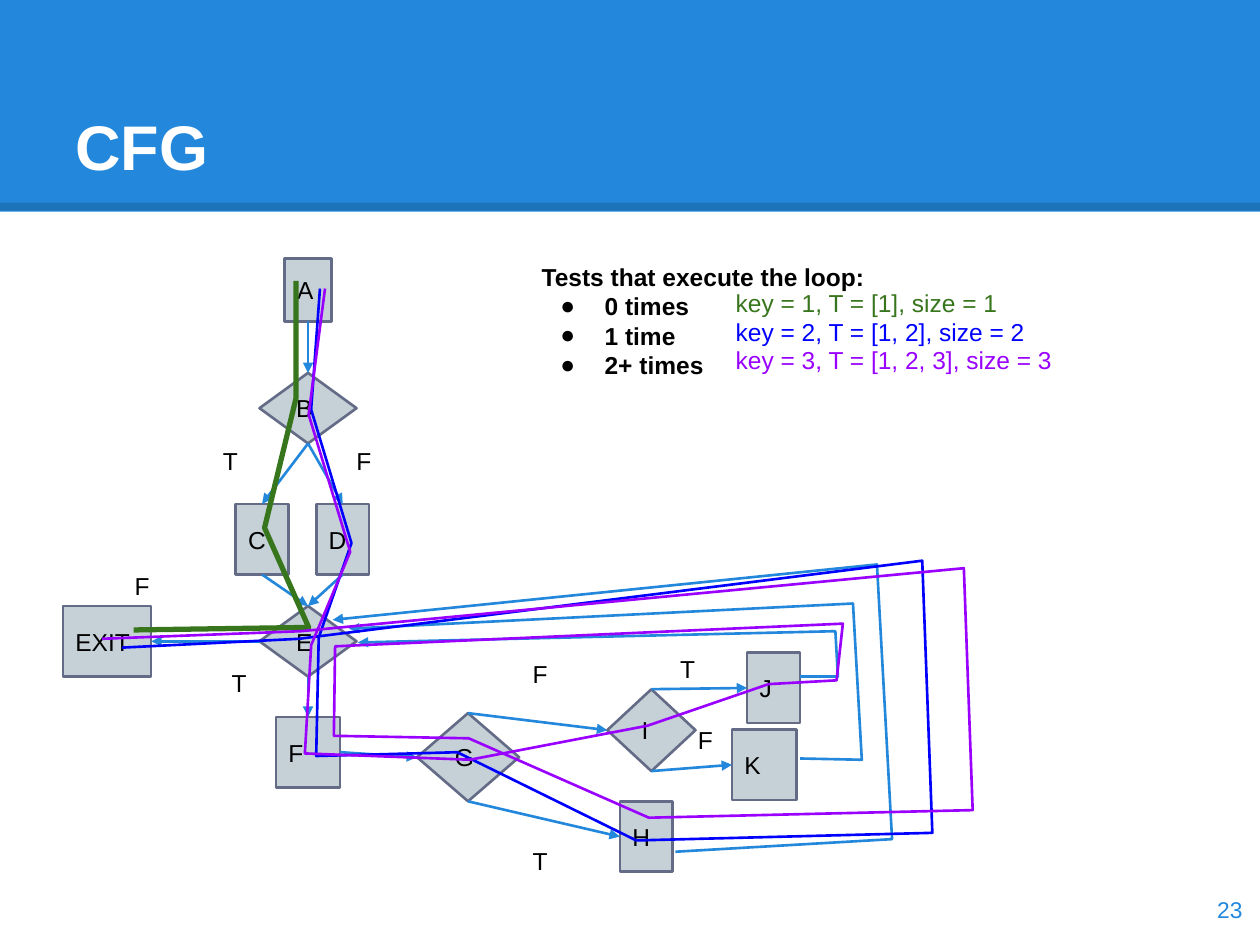
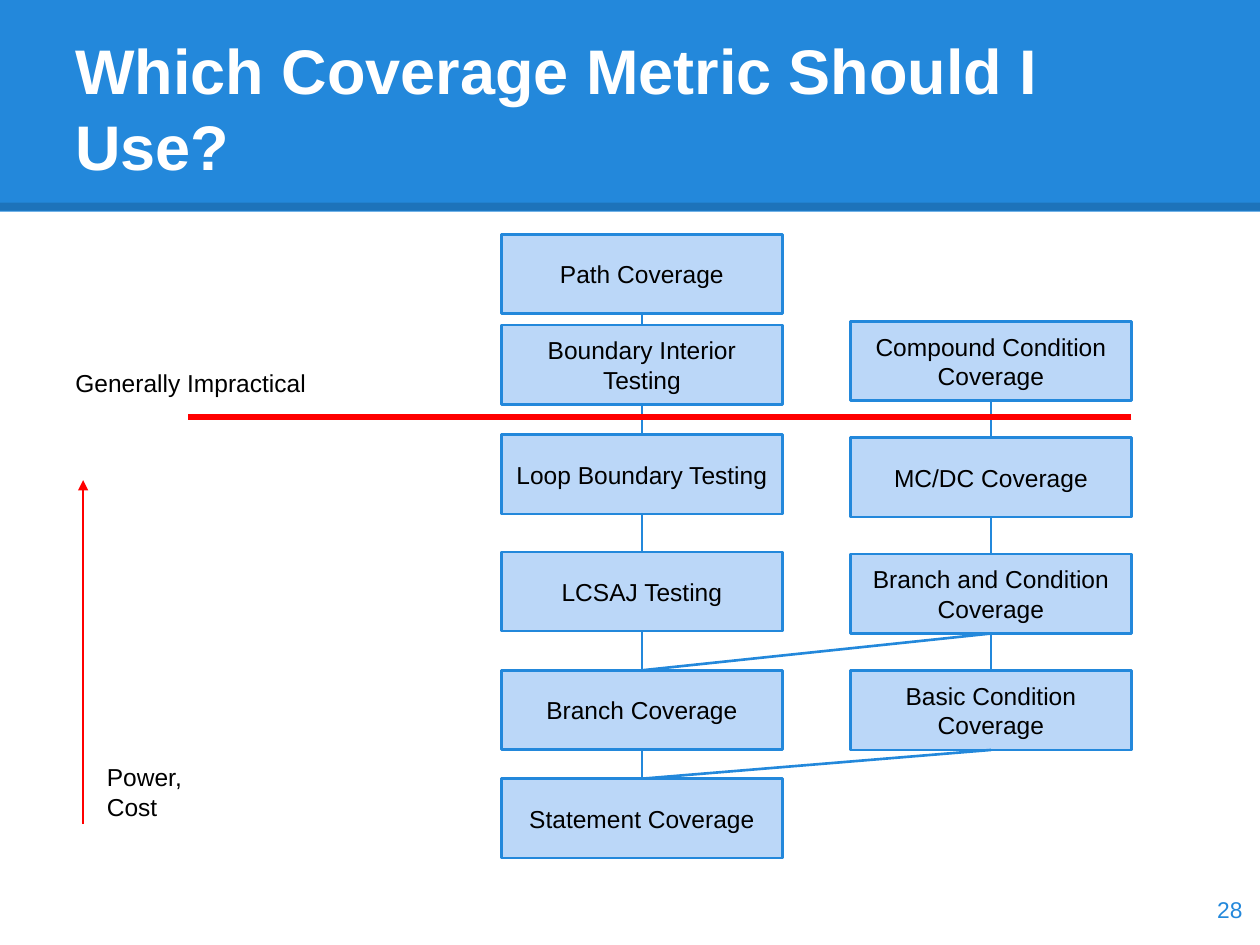
from itertools import pairwise

from lxml import etree
from pptx import Presentation
from pptx import util as u
from pptx.dml.color import RGBColor
from pptx.enum import shapes, text
from pptx.oxml.ns import qn

# Shared look
FONT = "Arial"
BLUE, WHITE, BLACK, RED = "2388DB", "FFFFFF", "000000", "FF0000"
NODE_FILL, NODE_LINE, METRIC_FILL = "C5D1D7", "646B86", "BBD7F8"
GREEN, DEEP_BLUE, PURPLE = "38761D", "0000FF", "9900FF"
LEFT, CENTER, RIGHT = text.PP_ALIGN.LEFT, text.PP_ALIGN.CENTER, text.PP_ALIGN.RIGHT
TOP, MIDDLE, BOTTOM = (text.MSO_ANCHOR.TOP, text.MSO_ANCHOR.MIDDLE,
                       text.MSO_ANCHOR.BOTTOM)
RECT, DIAMOND = shapes.MSO_SHAPE.RECTANGLE, shapes.MSO_SHAPE.DIAMOND
# Connection sites of rectangles and diamonds
SITE = {"top": 0, "left": 1, "bottom": 2, "right": 3}


def grid(*inches):
    """Turn positions on the inch grid into lengths."""
    return [u.Cm(value * 2.54) for value in inches]


def rgb(hex_color):
    return RGBColor.from_string(hex_color)


def write(frame, content, size=14, color=BLACK, bold=False, align=LEFT, anchor=TOP):
    """Fill a text frame, one paragraph for each line of content."""
    frame.word_wrap = True
    frame.auto_size = text.MSO_AUTO_SIZE.NONE
    frame.vertical_anchor = anchor
    frame.margin_left = frame.margin_right = u.Cm(0.25)
    frame.margin_top = frame.margin_bottom = u.Cm(0.25)
    for index, line in enumerate(content.split("\n")):
        paragraph = frame.add_paragraph() if index else frame.paragraphs[0]
        paragraph.alignment = align
        paragraph.space_before = u.Pt(0)
        run = paragraph.add_run()
        run.text = line
        run.font.name, run.font.size, run.font.bold = FONT, u.Pt(size), bold
        run.font.color.rgb = rgb(color)


def label(slide, content, area, **style):
    write(slide.shapes.add_textbox(*grid(*area)).text_frame, content, **style)


def box(slide, kind, area, fill, outline, content, align=LEFT):
    shape = slide.shapes.add_shape(kind, *grid(*area))
    shape.shadow.inherit = False
    shape.fill.solid()
    shape.fill.fore_color.rgb = rgb(fill)
    draw_line(shape.line, outline, 1.5)
    write(shape.text_frame, content, align=align, anchor=MIDDLE)
    return shape


def draw_line(line, color, width, arrow=False):
    line.color.rgb = rgb(color)
    line.width = u.Pt(width)
    if arrow:
        etree.SubElement(line._get_or_add_ln(), qn("a:tailEnd"), type="triangle")


def straight(slide, start=(0, 0), end=(0, 0), color=BLUE, width=1.5, arrow=False):
    connector = slide.shapes.add_connector(
        shapes.MSO_CONNECTOR.STRAIGHT, *grid(*start, *end))
    draw_line(connector.line, color, width, arrow)
    etree.SubElement(connector._element.spPr, qn("a:effectLst"))
    return connector


def join(slide, source, source_side, target, target_side, arrow=False):
    connector = straight(slide, arrow=arrow)
    connector.begin_connect(source, SITE[source_side])
    connector.end_connect(target, SITE[target_side])


def polyline(slide, points, color, width=1.5, arrow=False):
    corners = [grid(*point) for point in points]
    builder = slide.shapes.build_freeform(*corners[0])
    builder.add_line_segments(corners[1:], close=False)
    route = builder.convert_to_shape()
    route.fill.background()
    route.shadow.inherit = False
    draw_line(route.line, color, width, arrow)


def bullet(paragraph):
    properties = paragraph._p.get_or_add_pPr()
    properties.set("marL", str(u.Cm(1.27)))
    properties.set("indent", str(-u.Cm(0.89)))
    bullet_color = etree.SubElement(properties, qn("a:buClr"))
    etree.SubElement(bullet_color, qn("a:srgbClr"), val=BLACK)
    etree.SubElement(properties, qn("a:buChar"), char="●")


def move(placeholder, area):
    (placeholder.left, placeholder.top,
     placeholder.width, placeholder.height) = grid(*area)


def add_band(prs, slide):
    """Draw the title band and keep it on the slide master, behind all else."""
    band = slide.shapes.add_shape(RECT, *grid(0, 0, 10, 1.68))
    band.shadow.inherit = False
    band.fill.solid()
    band.fill.fore_color.rgb = rgb(BLUE)
    band.line.fill.background()
    edge = straight(slide, (0, 1.64), (10, 1.64), BLACK, 4.5)
    tint = edge._element.find(".//" + qn("a:srgbClr"))
    etree.SubElement(tint, qn("a:alpha"), val="15000")
    for offset, part in enumerate((band, edge)):
        part._element.find(".//" + qn("p:cNvPr")).set("id", str(101 + offset))
        prs.slide_master.shapes._spTree.insert(2 + offset, part._element)


def add_slide(prs, layout, title, number, title_width=9):
    slide = prs.slides.add_slide(prs.slide_layouts[layout])
    move(slide.shapes.title, (0.5, 0.3, title_width, 1.25))
    write(slide.shapes.title.text_frame, title, size=36, color=WHITE, bold=True,
          anchor=BOTTOM)
    label(slide, number, (9.36, 6.93, 0.6, 0.57), size=13, color=BLUE,
          align=RIGHT, anchor=MIDDLE)
    return slide


def draw_flow_graph(slide):
    # Statements are rectangles, decisions are diamonds
    node_areas = {
        RECT: {"A": (2.26, 2.05, 0.37, 0.5), "C": (1.87, 4, 0.42, 0.56),
               "D": (2.51, 4, 0.42, 0.56), "EXIT": (0.5, 4.81, 0.7, 0.56),
               "F": (2.19, 5.69, 0.51, 0.56), "H": (4.92, 6.36, 0.42, 0.56),
               "J": (5.93, 5.18, 0.42, 0.56), "K": (5.81, 5.79, 0.51, 0.56)},
        DIAMOND: {"B": (2.06, 2.96, 0.77, 0.56), "E": (2.06, 4.81, 0.77, 0.56),
                  "G": (3.31, 5.66, 0.81, 0.7), "I": (4.82, 5.47, 0.7, 0.65)},
    }
    nodes = {name: box(slide, kind, area, NODE_FILL, NODE_LINE, name)
             for kind, areas in node_areas.items() for name, area in areas.items()}

    # Forward edges
    for source, source_side, target, target_side in (
            ("A", "bottom", "B", "top"), ("B", "bottom", "C", "top"),
            ("B", "bottom", "D", "top"), ("C", "bottom", "E", "top"),
            ("D", "bottom", "E", "top"), ("E", "left", "EXIT", "right"),
            ("E", "bottom", "F", "top"), ("F", "right", "G", "left"),
            ("G", "top", "I", "left"), ("G", "bottom", "H", "left"),
            ("I", "top", "J", "left"), ("I", "bottom", "K", "left")):
        join(slide, nodes[source], source_side, nodes[target], target_side, arrow=True)

    # Edges back to the loop condition
    for loop_edge in (
            [(6.35, 5.37), (6.65, 5.37), (6.63, 5.01), (2.84, 5.1)],
            [(6.35, 6.02), (6.84, 6.03), (6.77, 4.79), (2.77, 4.99)],
            [(5.36, 6.76), (7.08, 6.66), (6.96, 4.48), (2.64, 4.92)]):
        polyline(slide, loop_edge, BLUE, arrow=True)

    # Branch outcomes
    for outcome, left, top in (
            ("T", 1.67, 3.44), ("F", 2.73, 3.44), ("F", 0.97, 4.43),
            ("T", 1.74, 5.2), ("F", 4.13, 5.13), ("T", 4.13, 6.62),
            ("T", 5.3, 5.09), ("F", 5.44, 5.66)):
        label(slide, outcome, (left, top, 0.37, 0.5))


def draw_tests(slide):
    # List of loop counts
    loop_counts = slide.placeholders[1]
    move(loop_counts, (4.2, 1.98, 5.63, 1.11))
    write(loop_counts.text_frame,
          "Tests that execute the loop:\n0 times\n1 time\n2+ times", bold=True)
    heading, *counts = loop_counts.text_frame.paragraphs
    heading_properties = heading._p.get_or_add_pPr()
    heading_properties.set("marL", "0")
    heading_properties.set("indent", "0")
    etree.SubElement(heading_properties, qn("a:buNone"))
    for count in counts:
        bullet(count)

    # Each test input and the route it takes through the graph
    tests = (
        ("key = 1, T = [1], size = 1", GREEN, 3,
         [(2.35, 2.23), (2.35, 3.16), (2.1, 4.19), (2.45, 4.98), (1.06, 5)]),
        ("key = 2, T = [1, 2], size = 2", DEEP_BLUE, 1.5,
         [(2.54, 2.29), (2.47, 3.25), (2.79, 4.31), (2.53, 5.06), (2.51, 6),
          (3.63, 5.97), (5.05, 6.67), (7.4, 6.61), (7.32, 4.45), (2.37, 5.07),
          (0.97, 5.14)]),
        ("key = 3, T = [1, 2, 3], size = 3", PURPLE, 1.5,
         [(2.58, 2.29), (2.45, 3.29), (2.78, 4.38), (2.47, 5.12), (2.42, 5.98),
          (3.73, 6.03), (5.14, 5.76), (6.1, 5.43), (6.64, 5.4), (6.69, 4.95),
          (2.66, 5.13), (2.65, 5.84), (3.72, 5.86), (5.15, 6.49), (7.72, 6.43),
          (7.65, 4.51), (2.39, 5.01), (0.81, 5.07)]),
    )
    for row, (test_input, color, width, route) in enumerate(tests):
        label(slide, test_input, (5.74, 2.19 + 0.225 * row, 2.84, 0.23), color=color)
        polyline(slide, route, color, width)


def metric_chain(slide, left, metrics):
    """Stack metrics from strongest to weakest and link the neighbours."""
    chain = [box(slide, RECT, (left, top, 2.23, 0.63), METRIC_FILL, BLUE, name, CENTER)
             for name, top in metrics]
    for stronger, weaker in pairwise(chain):
        join(slide, stronger, "bottom", weaker, "top")
    return chain


def draw_metrics(slide):
    # Structural metrics on the left, condition metrics on the right
    structural = metric_chain(slide, 3.98, (
        ("Path Coverage", 1.86), ("Boundary Interior Testing", 2.58),
        ("Loop Boundary Testing", 3.45), ("LCSAJ Testing", 4.38),
        ("Branch Coverage", 5.32), ("Statement Coverage", 6.18)))
    condition_names = ("Compound Condition Coverage", "MC/DC Coverage",
                       "Branch and Condition Coverage", "Basic Condition Coverage")
    conditions = metric_chain(slide, 6.75, [
        (name, 2.55 + 0.924 * row) for row, name in enumerate(condition_names)])
    for condition, weaker in zip(conditions[-2:], structural[-2:]):
        join(slide, condition, "bottom", weaker, "top")

    # Limit of practical use
    straight(slide, (8.98, 3.31), (1.49, 3.31), RED, 3)
    label(slide, "Generally Impractical", (0.5, 2.82, 2.57, 0.3))

    # Power and cost axis
    straight(slide, (0.66, 6.54), (0.66, 3.81), RED, arrow=True)
    label(slide, "Power, Cost", (0.75, 5.95, 1.16, 0.41))


def main():
    prs = Presentation()
    prs.slide_width, prs.slide_height = u.Cm(25.4), u.Cm(19.05)

    graph_slide = add_slide(prs, 1, "CFG", "23")
    add_band(prs, graph_slide)
    draw_flow_graph(graph_slide)
    draw_tests(graph_slide)

    metric_slide = add_slide(prs, 5, "Which Coverage Metric Should I Use?", "28", 9.19)
    draw_metrics(metric_slide)

    prs.save("out.pptx")


if __name__ == "__main__":
    main()
